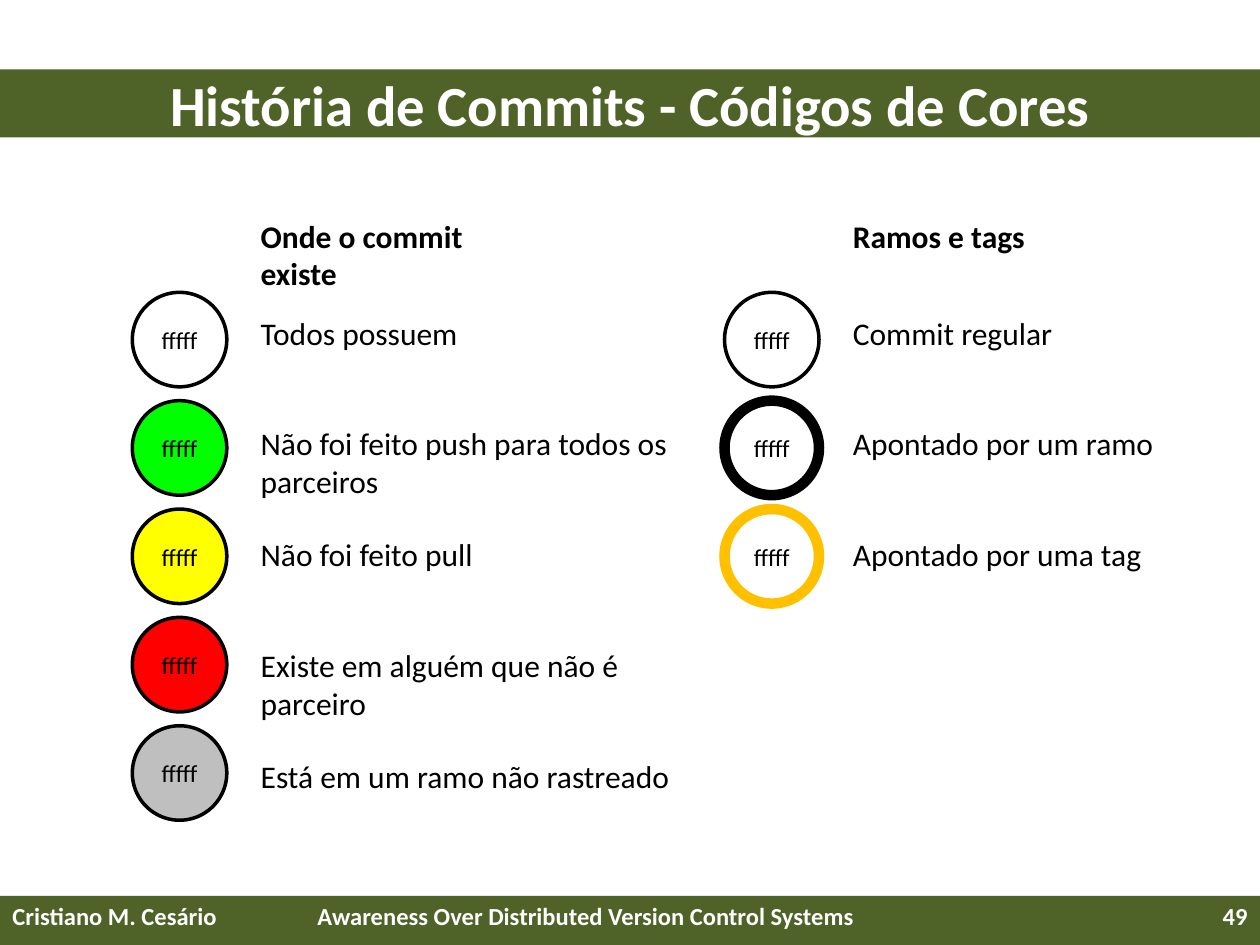
"""Builds the slide that explains the colour codes of a commit history."""
from pptx import Presentation
from pptx.dml.color import RGBColor
from pptx.enum import shapes, text
from pptx.util import Inches, Pt

COLORS = {
    "band": "4F6228", "white": "FFFFFF", "black": "000000", "green": "00FF00",
    "yellow": "FFFF00", "red": "FF0000", "gray": "BFBFBF", "orange": "FFC000",
}
FONT = "Calibri"
CIRCLE_TOP, CIRCLE_PITCH, CIRCLE_SIZE = 2.32, 0.86, 0.75
LABEL_TOP, LABEL_PITCH, LABEL_WIDTH = 2.44, 0.88, 3.58
LABEL_OFFSET = 0.92

COLUMNS = [
    (1.05, "Onde o commit existe", 2.44, [
        ("Todos possuem", "white", "black", 2),
        ("Não foi feito push para todos os parceiros", "green", "black", 2),
        ("Não foi feito pull", "yellow", "black", 2),
        ("Existe em alguém que não é parceiro", "red", "black", 2),
        ("Está em um ramo não rastreado", "gray", "black", 2),
    ]),
    (5.75, "Ramos e tags", 3.25, [
        ("Commit regular", "white", "black", 2),
        ("Apontado por um ramo", None, "black", 6),
        ("Apontado por uma tag", None, "orange", 6),
    ]),
]
FOOTER = [
    (0, 2.33, "Cristiano M. Cesário", text.PP_ALIGN.LEFT),
    (2.42, 5.17, "Awareness Over Distributed Version Control Systems", text.PP_ALIGN.LEFT),
    (7.67, 2.33, "49", text.PP_ALIGN.RIGHT),
]


def color(name):
    return RGBColor.from_string(COLORS[name])


def place(shape, left, top, width, height):
    shape.left, shape.top = Inches(left), Inches(top)
    shape.width, shape.height = Inches(width), Inches(height)


def write(frame, words, size, ink="black", bold=False, align=text.PP_ALIGN.LEFT):
    frame.word_wrap = True
    paragraph = frame.paragraphs[0]
    paragraph.alignment = align
    run = paragraph.add_run()
    run.text = words
    run.font.name, run.font.size, run.font.bold = FONT, Pt(size), bold
    run.font.color.rgb = color(ink)


def paint(shape, fill):
    if fill:
        shape.fill.solid()
        shape.fill.fore_color.rgb = color(fill)
    else:
        shape.fill.background()


def add_title(slide, words):
    title = slide.shapes.title
    place(title, 0, 0.55, 10, 0.54)
    paint(title, "band")
    frame = title.text_frame
    frame.auto_size = text.MSO_AUTO_SIZE.NONE
    frame.vertical_anchor = text.MSO_ANCHOR.MIDDLE
    write(frame, words, 32.4, "white", True, text.PP_ALIGN.CENTER)


def add_text(slide, left, top, width, height, words, size=18, **style):
    box = slide.shapes.add_textbox(Inches(left), Inches(top), Inches(width), Inches(height))
    write(box.text_frame, words, size, **style)
    return box


def add_label(slide, left, top, width, words, bold=False):
    box = add_text(slide, left, top, width, 0.4, words, bold=bold)
    box.text_frame.auto_size = text.MSO_AUTO_SIZE.SHAPE_TO_FIT_TEXT


def add_circle(slide, left, top, fill, line, weight):
    circle = slide.shapes.add_shape(
        shapes.MSO_SHAPE.OVAL, Inches(left), Inches(top),
        Inches(CIRCLE_SIZE), Inches(CIRCLE_SIZE))
    circle.shadow.inherit = False
    paint(circle, fill)
    circle.line.color.rgb = color(line)
    circle.line.width = Pt(weight)
    frame = circle.text_frame
    frame.margin_left = frame.margin_right = Inches(0.04)
    frame.margin_top = frame.margin_bottom = Inches(0.04)
    frame.vertical_anchor = text.MSO_ANCHOR.MIDDLE
    write(frame, "fffff", 14, align=text.PP_ALIGN.CENTER)


def add_column(slide, left, heading, heading_width, entries):
    label_left = left + LABEL_OFFSET
    add_label(slide, label_left, 1.67, heading_width, heading, bold=True)
    for row, (words, fill, line, weight) in enumerate(entries):
        add_circle(slide, left, CIRCLE_TOP + row * CIRCLE_PITCH, fill, line, weight)
        add_label(slide, label_left, LABEL_TOP + row * LABEL_PITCH, LABEL_WIDTH, words)


def add_footer(slide):
    band = slide.shapes.add_shape(
        shapes.MSO_SHAPE.RECTANGLE, Inches(0), Inches(7.11), Inches(10), Inches(0.39))
    band.shadow.inherit = False
    paint(band, "band")
    band.line.fill.background()
    for left, width, words, align in FOOTER:
        add_text(slide, left, 7.1, width, 0.4, words, 14, ink="white", bold=True, align=align)


def main():
    presentation = Presentation()
    presentation.slide_width, presentation.slide_height = Inches(10), Inches(7.5)
    slide = presentation.slides.add_slide(presentation.slide_layouts[5])
    add_title(slide, "História de Commits - Códigos de Cores")
    add_footer(slide)
    for column in COLUMNS:
        add_column(slide, *column)
    presentation.save("out.pptx")


if __name__ == "__main__":
    main()
